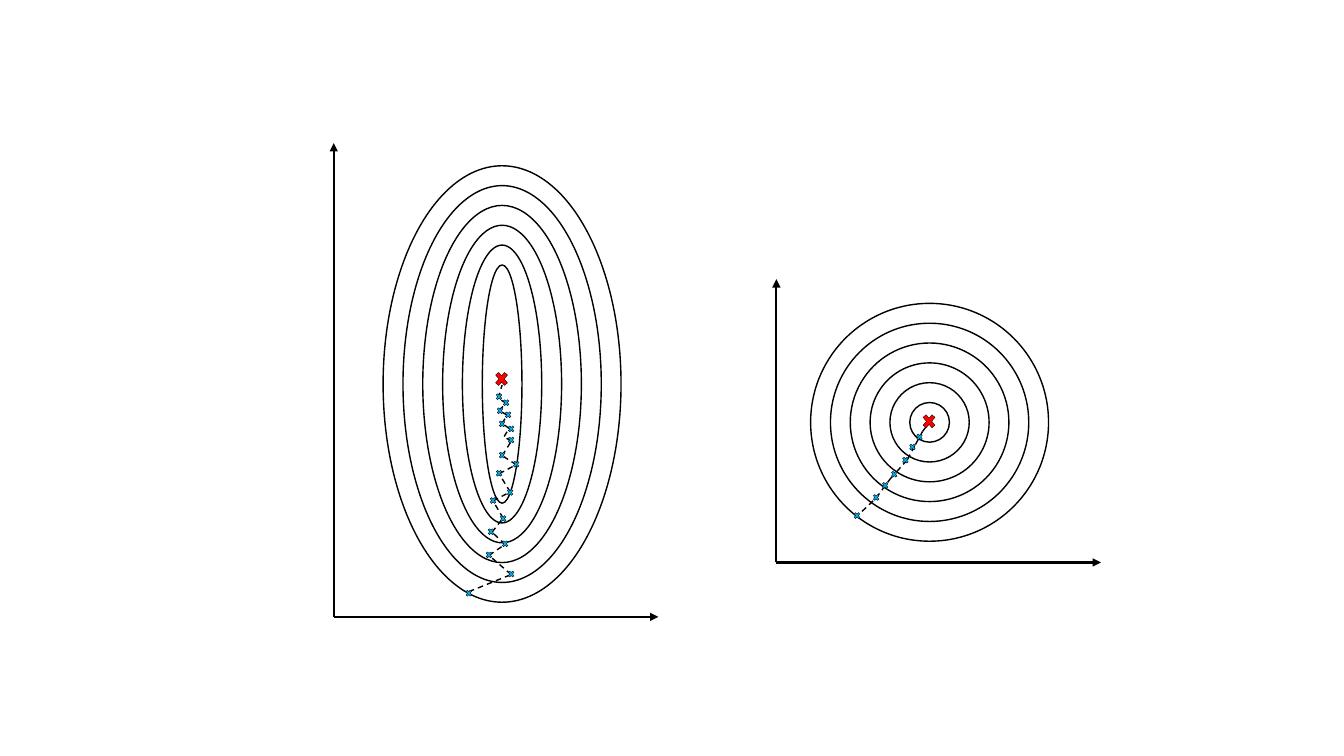
from itertools import pairwise

from lxml.etree import SubElement
from pptx import Presentation
from pptx.dml.color import RGBColor
from pptx.enum.dml import MSO_LINE_DASH_STYLE as DASH
from pptx.enum.shapes import MSO_CONNECTOR_TYPE as CONNECTOR, MSO_SHAPE as SHAPE
from pptx.oxml.ns import qn
from pptx.util import Inches, Pt


def color(hex_string):
    return RGBColor.from_string(hex_string)


class Sketch:
    """Holds the style, the slide and the group being drawn."""
    INK = "000000"
    STEP_FILL = "00B0F0"
    MINIMUM_FILL = "FF0000"

    def __init__(self, slide):
        self.slide = slide
        self.group = None

    def start_group(self):
        self.group = self.slide.shapes.add_group_shape()

    def preset(self, kind, left, top, width, height, line_width, fill=None):
        shape = self.group.shapes.add_shape(
            kind, Inches(left), Inches(top), Inches(width), Inches(height))
        shape.shadow.inherit = False
        if fill:
            shape.fill.solid()
            shape.fill.fore_color.rgb = color(fill)
        else:
            shape.fill.background()
        shape.line.color.rgb = color(self.INK)
        shape.line.width = Pt(line_width)

    def line(self, start, end, width):
        connector = self.group.shapes.add_connector(
            CONNECTOR.STRAIGHT, *map(Inches, (*start, *end)))
        connector.line.color.rgb = color(self.INK)
        connector.line.width = Pt(width)
        SubElement(connector._element.spPr, qn("a:effectLst"))
        return connector

    def axis(self, start, end):
        connector = self.line(start, end, 1.5)
        SubElement(connector.line._get_or_add_ln(), qn("a:tailEnd"), type="triangle")

    def contours(self, center, outer_width, stretch, count=6):
        """Evenly spaced rings, each taller than wide by the stretch."""
        x, y = center
        for ring in range(count, 0, -1):
            width = outer_width * ring / count
            height = width + stretch
            self.preset(SHAPE.OVAL, x - width / 2, y - height / 2, width, height, 1)

    def trail(self, points):
        for start, end in pairwise(points):
            self.line(start, end, 1).line.dash_style = DASH.DASH

    def step(self, left, top):
        self.preset(SHAPE.MATH_MULTIPLY, left, top, 0.08, 0.09, 0.25, self.STEP_FILL)

    def minimum(self, left, top):
        self.preset(SHAPE.MATH_MULTIPLY, left, top, 0.17, 0.2, 0.25, self.MINIMUM_FILL)

    def plot(self, origin, axis_top, axis_right, center, stretch, trail, steps, minimum):
        self.start_group()
        self.contours(center, 2.36, stretch)
        self.trail(trail)
        for position in steps:
            self.step(*position)
        self.minimum(*minimum)
        self.axis(origin, (origin[0], axis_top))
        self.axis(origin, (axis_right, origin[1]))


# Descent across stretched contours: zigzag
STRETCHED = dict(
    origin=(3.31, 6.12), axis_top=1.42, axis_right=6.53,
    center=(4.98, 3.81), stretch=1.97, minimum=(4.89, 3.66),
    trail=[(4.65, 5.87), (5.07, 5.7), (4.85, 5.51), (5.01, 5.4), (4.88, 5.28),
           (4.99, 5.14), (4.89, 4.97), (5.06, 4.88), (4.95, 4.7), (5.12, 4.61),
           (4.98, 4.52), (5.07, 4.38), (5, 4.33), (5.05, 4.25), (4.98, 4.2),
           (5.03, 4.12), (4.95, 4.07), (5.02, 4), (4.94, 3.95), (4.98, 3.82)],
    steps=[(4.61, 5.84), (5.03, 5.65), (4.81, 5.46), (4.97, 5.35), (4.83, 5.23),
           (4.95, 5.1), (4.85, 4.92), (5.02, 4.84), (4.91, 4.65), (5.08, 4.56),
           (4.94, 4.47), (5.03, 4.32), (5.03, 4.21), (4.94, 4.16), (5, 4.07),
           (4.92, 4.03), (4.98, 3.95), (4.91, 3.89)])

# Descent across round contours: nearly straight
ROUND = dict(
    origin=(7.7, 5.58), axis_top=2.77, axis_right=10.92,
    center=(9.22, 4.19), stretch=0, minimum=(9.13, 4.08),
    trail=[(8.48, 5.14), (8.69, 4.94), (8.83, 4.75), (9, 4.56), (9.08, 4.41),
           (9.15, 4.28), (9.22, 4.19)],
    steps=[(8.46, 5.07), (8.65, 4.89), (8.74, 4.77), (8.83, 4.66), (8.94, 4.52),
           (9.01, 4.39), (9.08, 4.29)])


def main():
    presentation = Presentation()
    presentation.slide_width = Inches(13.33)
    presentation.slide_height = Inches(7.5)
    sketch = Sketch(presentation.slides.add_slide(presentation.slide_layouts[6]))
    for landscape in (ROUND, STRETCHED):
        sketch.plot(**landscape)
    presentation.save("out.pptx")


if __name__ == "__main__":
    main()
